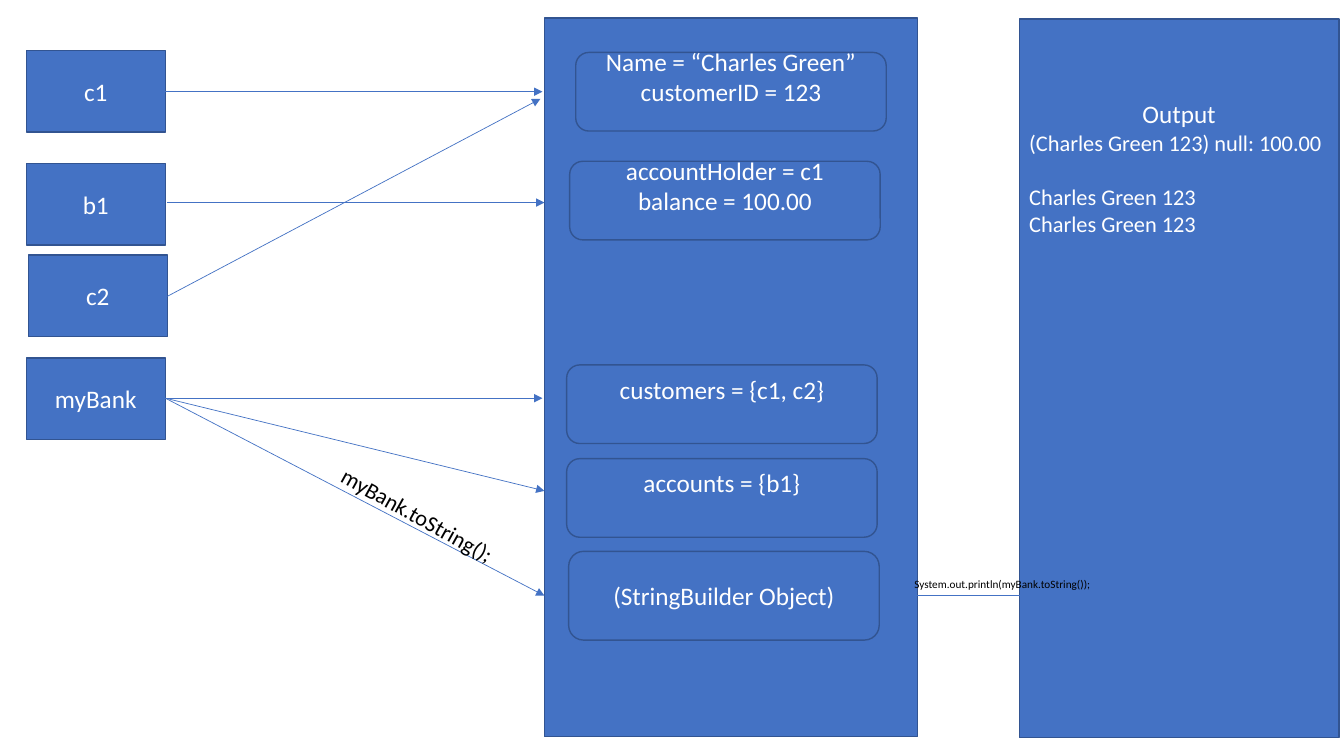
from lxml import etree
from pptx import Presentation
from pptx.dml.color import RGBColor
from pptx.enum.shapes import MSO_CONNECTOR, MSO_SHAPE
from pptx.enum.text import MSO_ANCHOR, PP_ALIGN
from pptx.oxml.ns import qn
from pptx.util import Inches, Pt

RECT, ROUNDED = MSO_SHAPE.RECTANGLE, MSO_SHAPE.ROUNDED_RECTANGLE
STRAIGHT = MSO_CONNECTOR.STRAIGHT
TOP, MIDDLE = MSO_ANCHOR.TOP, MSO_ANCHOR.MIDDLE
LEFT, CENTER = PP_ALIGN.LEFT, PP_ALIGN.CENTER


def color(value):
    """Turn a hex string into a colour."""
    return RGBColor.from_string(value)


def write(frame, text, size=18, ink="FFFFFF", align=CENTER, anchor=MIDDLE,
          font="Calibri", inset_top=0.05, inset_bottom=0.05):
    """Fill a text frame, one paragraph per line, and return its paragraphs."""
    frame.word_wrap = True
    frame.vertical_anchor = anchor
    frame.margin_top, frame.margin_bottom = Inches(inset_top), Inches(inset_bottom)
    frame.text = text
    for paragraph in frame.paragraphs:
        paragraph.alignment = align
        paragraph.font.size = Pt(size)
        paragraph.font.name = font
        paragraph.font.color.rgb = color(ink)
    return frame.paragraphs


class Diagram:
    """Style of the memory diagram and the slide it is drawn on."""

    fill, border = "4472C4", "325491"

    def __init__(self, slide):
        """Keep the slide to draw on."""
        self.shapes = slide.shapes

    def box(self, left, top, width, height, text="", kind=RECT, **style):
        """Add a filled box and return its paragraphs."""
        box = self.shapes.add_shape(kind, Inches(left), Inches(top),
                                    Inches(width), Inches(height))
        box.shadow.inherit = False
        box.fill.solid()
        box.fill.fore_color.rgb = color(self.fill)
        box.line.color.rgb = color(self.border)
        box.line.width = Pt(1)
        return write(box.text_frame, text, **style)

    def arrow(self, x1, y1, x2, y2):
        """Add a thin arrow from the first point to the second."""
        arrow = self.shapes.add_connector(STRAIGHT, Inches(x1), Inches(y1),
                                          Inches(x2), Inches(y2))
        arrow.line.color.rgb = color(self.fill)
        arrow.line.width = Pt(0.5)
        properties = arrow._element.spPr
        etree.SubElement(properties.find(qn("a:ln")), qn("a:tailEnd"), type="triangle")
        etree.SubElement(properties, qn("a:effectLst"))

    def label(self, left, top, width, height, text, size, rotation=0):
        """Add a black call label."""
        label = self.shapes.add_textbox(Inches(left), Inches(top),
                                        Inches(width), Inches(height))
        label.rotation = rotation
        write(label.text_frame, text, size=size, ink="000000", align=LEFT, anchor=TOP)


presentation = Presentation()
presentation.slide_width, presentation.slide_height = Inches(13.33), Inches(7.5)
diagram = Diagram(presentation.slides.add_slide(presentation.slide_layouts[6]))

# Heap and output panels
diagram.box(5.4, 0.18, 3.7, 7.13)
heading, *results = diagram.box(
    10.11, 0.19, 3.17, 7.13,
    "Output\n(Charles Green 123) null: 100.00\nCharles Green 123\nCharles Green 123",
    anchor=TOP, inset_top=0.79)
for result in results:
    result.alignment = LEFT
    result.font.size = Pt(16)
results[1].space_before = Pt(19.5)

# Variables
for variable, left, top in [("c1", 0.26, 0.5), ("b1", 0.26, 1.62),
                            ("c2", 0.28, 2.53), ("myBank", 0.26, 3.55)]:
    diagram.box(left, top, 1.38, 0.81, variable)

# Objects on the heap; field lists sit above the middle of their box
FIELDS_INSET = 0.35
for fields, left, top in [("Name = “Charles Green”\ncustomerID = 123", 5.71, 0.52),
                          ("accountHolder = c1\nbalance = 100.00", 5.65, 1.6),
                          ("customers = {c1, c2}", 5.62, 3.62),
                          ("accounts = {b1}", 5.62, 4.55)]:
    diagram.box(left, top, 3.08, 0.78, fields, ROUNDED, inset_bottom=FIELDS_INSET)
diagram.box(5.64, 5.47, 3.08, 0.88, "(StringBuilder Object)", ROUNDED)

# References
for start, end in [((1.64, 0.91), (5.38, 0.91)), ((1.66, 2.01), (5.4, 2.01)),
                   ((1.66, 2.94), (5.36, 0.98)), ((1.64, 3.95), (5.38, 3.95)),
                   ((1.64, 3.95), (5.4, 4.87)), ((1.64, 3.95), (5.4, 5.91)),
                   ((8.93, 5.91), (10.2, 5.91))]:
    diagram.arrow(*start, *end)

# Calls
diagram.label(3.19, 4.98, 2.1, 0.37, "myBank.toString();", 16, rotation=29)
diagram.label(8.97, 5.68, 2.17, 0.24, "System.out.println(myBank.toString());", 8)

presentation.save("out.pptx")
